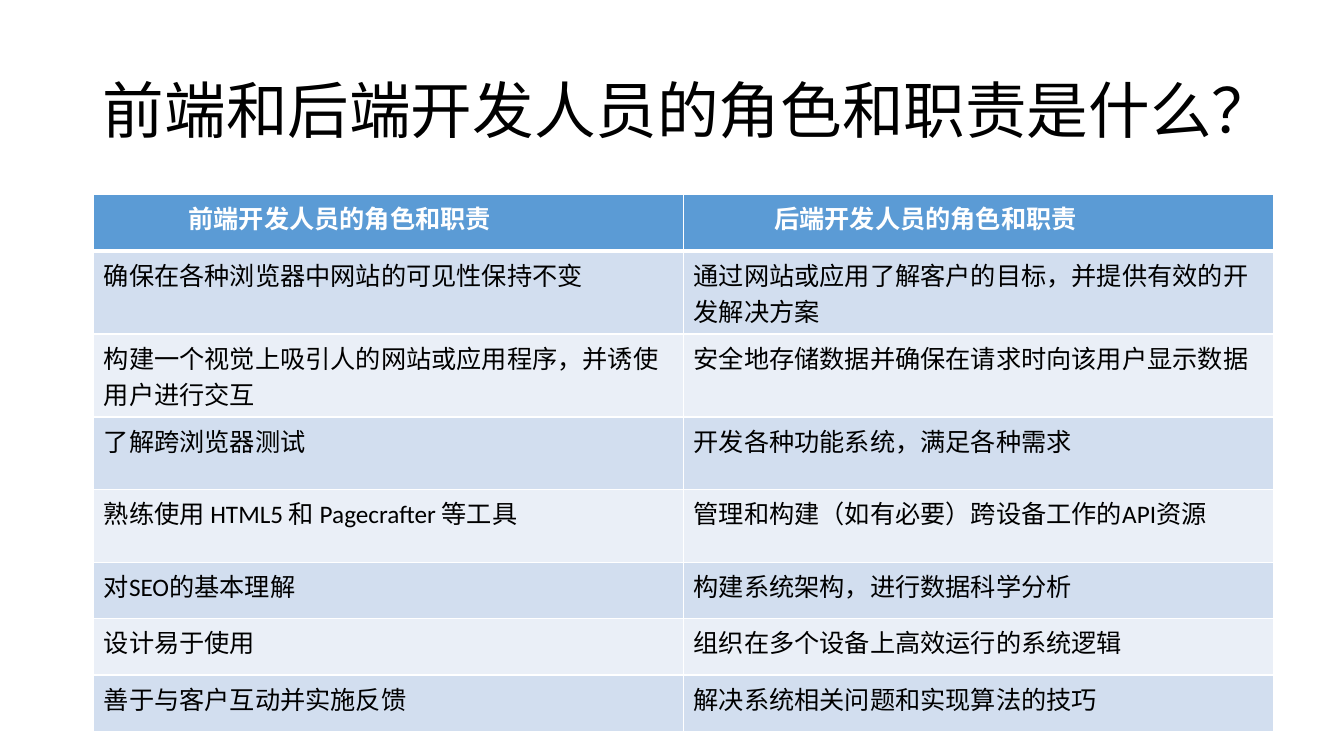
from lxml import etree
from pptx import Presentation
from pptx.dml.color import RGBColor
from pptx.enum import lang, text
from pptx.oxml import ns
from pptx.util import Inches, Pt

TITLE = "前端和后端开发人员的角色和职责是什么？"
HEADS = ("前端开发人员的角色和职责", "后端开发人员的角色和职责")
ROLES = [
    ("确保在各种浏览器中网站的可见性保持不变",
     "通过网站或应用了解客户的目标，并提供有效的开发解决方案"),
    ("构建一个视觉上吸引人的网站或应用程序，并诱使用户进行交互",
     "安全地存储数据并确保在请求时向该用户显示数据"),
    ("了解跨浏览器测试", "开发各种功能系统，满足各种需求"),
    ("熟练使用 HTML5 和 Pagecrafter 等工具",
     "管理和构建（如有必要）跨设备工作的API资源"),
    ("对SEO的基本理解", "构建系统架构，进行数据科学分析"),
    ("设计易于使用", "组织在多个设备上高效运行的系统逻辑"),
    ("善于与客户互动并实施反馈", "解决系统相关问题和实现算法的技巧"),
]
HEIGHTS = [0.56] + [0.72] * 4 + [0.56] * 3
INDENTS = (0.94, 0.9)
LEFT, TOP, COL = 0.93, 1.93, 5.85
BLUE, BANDS = "5B9BD5", ("D2DEEF", "EAEFF7")
WHITE, BLACK = "FFFFFF", "000000"


def color(code):
    return RGBColor.from_string(code)


def write(frame, words, size=18, ink=BLACK, bold=False):
    par = frame.paragraphs[0]
    par.alignment = text.PP_ALIGN.LEFT
    run = par.add_run()
    run.text = words
    font = run.font
    font.name, font.size, font.bold = "Calibri", Pt(size), bold
    font.color.rgb = color(ink)
    font.language_id = lang.MSO_LANGUAGE_ID.SIMPLIFIED_CHINESE
    return par


def border(cell, **widths):
    """Draw white cell edges; keys are L, R, T, B and values are points."""
    props = cell._tc.get_or_add_tcPr()
    for spot, side in enumerate("LRTB"):
        line = etree.Element(ns.qn("a:ln" + side), w=str(Pt(widths[side])))
        fill = etree.SubElement(line, ns.qn("a:solidFill"))
        etree.SubElement(fill, ns.qn("a:srgbClr"), val=WHITE)
        props.insert(spot, line)


deck = Presentation()
deck.slide_width, deck.slide_height = Inches(13.33), Inches(7.5)
slide = deck.slides.add_slide(deck.slide_layouts[5])

title = slide.shapes.title
title.left, title.top = Inches(0.92), Inches(0.4)
title.width, title.height = Inches(11.5), Inches(1.45)
frame = title.text_frame
frame.word_wrap = True
frame.auto_size = text.MSO_AUTO_SIZE.NONE
frame.vertical_anchor = text.MSO_ANCHOR.MIDDLE
write(frame, TITLE, size=44).line_spacing = 0.9

rows = [HEADS] + ROLES
table = slide.shapes.add_table(
    len(rows), 2, Inches(LEFT), Inches(TOP),
    Inches(2 * COL), Inches(sum(HEIGHTS))).table
for col in table.columns:
    col.width = Inches(COL)
for r, (row, high) in enumerate(zip(rows, HEIGHTS)):
    table.rows[r].height = Inches(high)
    head = r == 0
    for c, words in enumerate(row):
        cell = table.cell(r, c)
        cell.fill.solid()
        cell.fill.fore_color.rgb = color(BLUE if head else BANDS[(r - 1) % 2])
        border(cell, L=1, R=1, T=3 if r == 1 else 1, B=3 if head else 1)
        if head:
            cell.margin_left = Inches(INDENTS[c])
        write(cell.text_frame, words, ink=WHITE if head else BLACK, bold=head)

deck.save("out.pptx")
